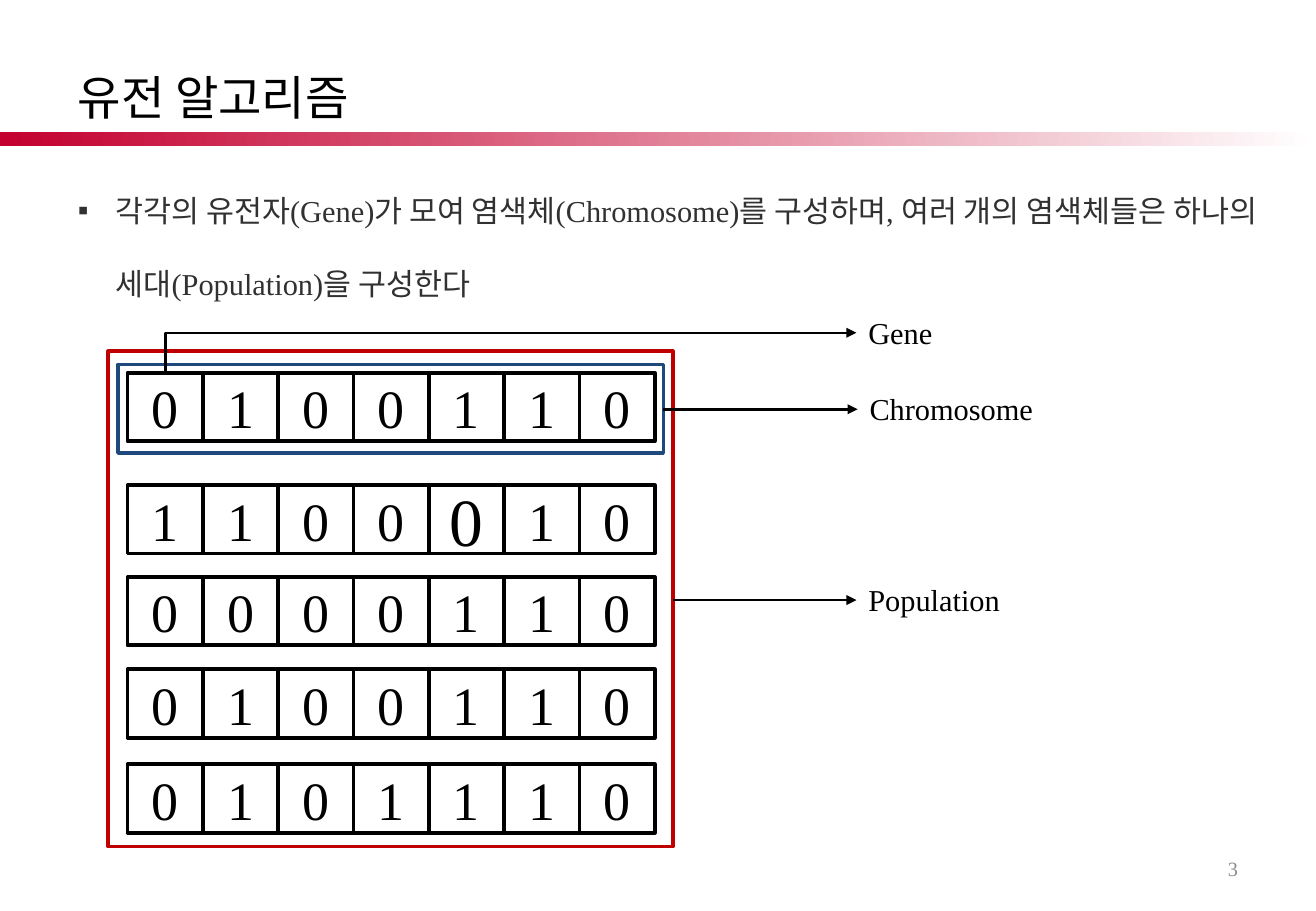
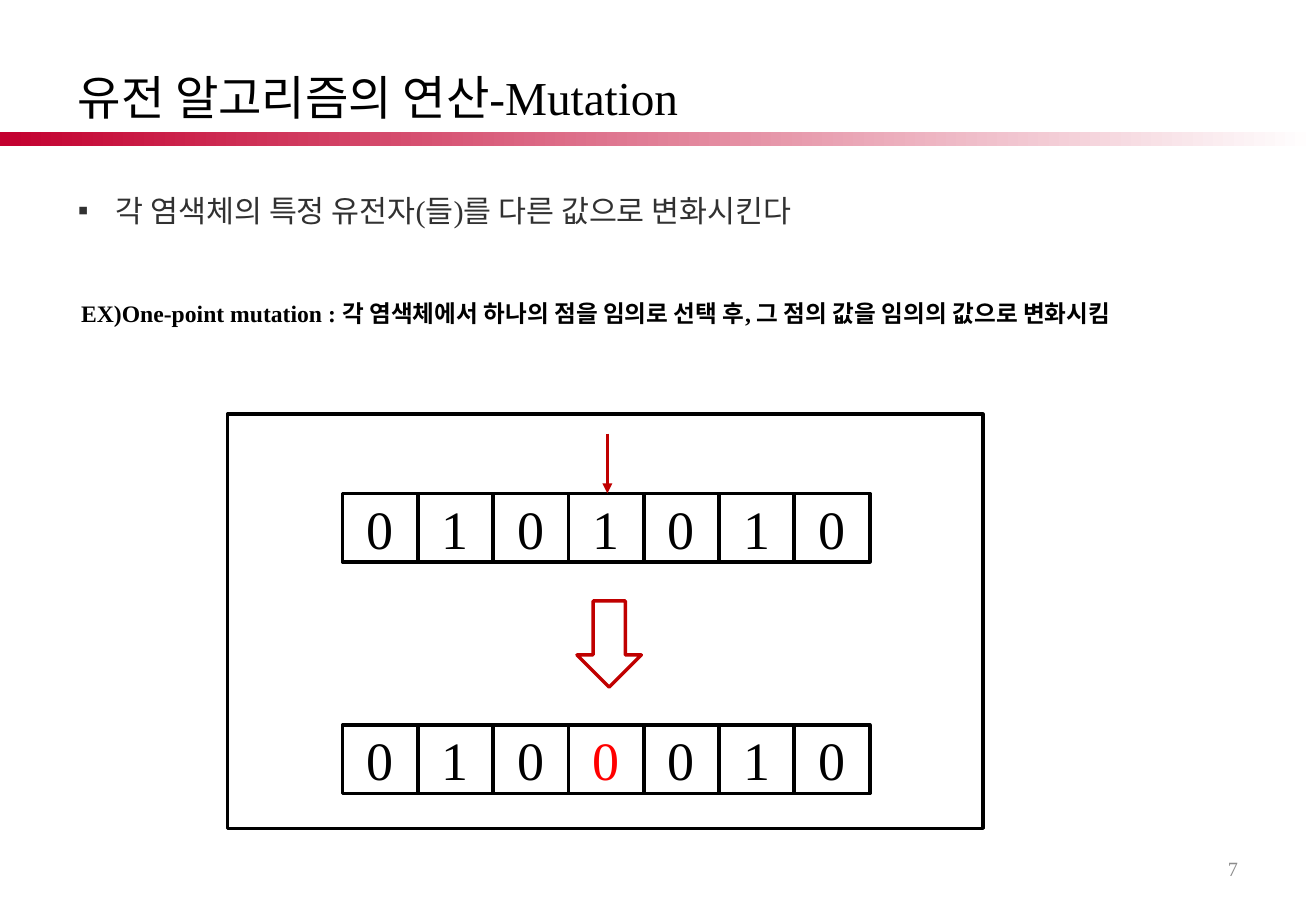
from dataclasses import dataclass

from lxml import etree
from pptx import Presentation
from pptx.dml.color import RGBColor
from pptx.enum import shapes, text
from pptx.oxml.ns import qn
from pptx.util import Pt

SHAPE, LINE = shapes.MSO_SHAPE, shapes.MSO_CONNECTOR
ALIGN, ANCHOR, FIT = text.PP_ALIGN, text.MSO_ANCHOR, text.MSO_AUTO_SIZE


@dataclass(frozen=True)
class Theme:
    font: str = "Times New Roman"
    black: str = "000000"
    body: str = "313131"
    grey: str = "8C8C8C"
    band: str = "C3002F"
    white: str = "FFFFFF"
    blue: str = "1F497D"
    dark_red: str = "C00000"
    red: str = "FF0000"
    title_size: int = 28
    body_size: int = 18
    example_size: int = 14
    page_size: int = 12
    gene_size: int = 32
    big_gene_size: int = 40


T = Theme()


def write(sp, words, size=T.body_size, color=T.black, bold=False,
          align=ALIGN.LEFT, anchor=ANCHOR.TOP, wrap=True):
    """Fill a shape with one paragraph; unwrapped shapes grow with the text."""
    tf = sp.text_frame
    tf.word_wrap = wrap
    tf.auto_size = FIT.NONE if wrap else FIT.SHAPE_TO_FIT_TEXT
    tf.vertical_anchor = anchor
    p = tf.paragraphs[0]
    p.alignment = align
    r = p.add_run()
    r.text = words
    r.font.name, r.font.size, r.font.bold = T.font, Pt(size), bold
    r.font.color.rgb = RGBColor.from_string(color)
    return p


def outline(sp, color=T.black, width=2, arrow=False):
    """Draw a shape as bare lines, or a connector with an arrowhead."""
    sp.line.color.rgb = RGBColor.from_string(color)
    sp.line.width = Pt(width)
    if arrow:
        etree.SubElement(sp.get_or_add_ln(), qn("a:tailEnd"), type="triangle")
        etree.SubElement(sp.element.spPr, qn("a:effectLst"))
    else:
        sp.fill.background()
        sp.shadow.inherit = False


prs = Presentation()
prs.slide_width, prs.slide_height = Pt(780), Pt(540)

# Shared layout: title and body places
layout = prs.slide_layouts[1]
places = [(38.9, 37.4, 702, 40.3), (38.9, 88.6, 722.9, 408.2)]
for ph, place in zip(layout.placeholders, places):
    ph.left, ph.top, ph.width, ph.height = map(Pt, place)

pages = [
    ("유전 알고리즘", "3",
     "각각의 유전자(Gene)가 모여 염색체(Chromosome)를 구성하며, "
     "여러 개의 염색체들은 하나의 세대(Population)을 구성한다"),
    ("유전 알고리즘의 연산-Mutation", "7",
     "각 염색체의 특정 유전자(들)를 다른 값으로 변화시킨다"),
]
for title, number, body in pages:
    s = prs.slides.add_slide(layout)
    write(s.shapes.title, title, T.title_size, anchor=ANCHOR.MIDDLE)
    p = write(s.placeholders[1], body, color=T.body)
    p.line_spacing, p.space_before = 2.0, Pt(0)
    pPr = p._p.get_or_add_pPr()
    pPr.set("marL", str(Pt(22.5)))
    pPr.set("indent", str(Pt(-22.5)))
    etree.SubElement(pPr, qn("a:buFont"), typeface="Arial")
    etree.SubElement(pPr, qn("a:buChar"), char="▪")
    page = s.shapes.add_textbox(Pt(558.7), Pt(500.4), Pt(182.2), Pt(28.8))
    write(page, number, T.page_size, T.grey, align=ALIGN.RIGHT, anchor=ANCHOR.MIDDLE)

population, mutation = prs.slides

# Gradient band, moved to the layout so that every slide shows it
band = population.shapes.add_shape(SHAPE.RECTANGLE, 0, Pt(78.5), prs.slide_width, Pt(8.2))
band.shadow.inherit = False
band.line.fill.background()
band.fill.gradient()
band.fill.gradient_angle = 0
for stop, color in zip(band.fill.gradient_stops, (T.band, T.white)):
    stop.color.rgb = RGBColor.from_string(color)
layout.shapes.element.append(band.element)

# Chromosomes: one group of gene cells per row
CELL_W, CELL_H = 44.64, 40.6
chromosomes = [
    (population, 75.6, 221, "0100110", {}),
    (population, 75.6, 287.6, "1100010", {4: {"size": T.big_gene_size}}),
    (population, 75.6, 342, "0000110", {}),
    (population, 75.6, 396.7, "0100110", {}),
    (population, 75.6, 453.1, "0101110", {}),
    (mutation, 203, 292.5, "0101010", {}),
    (mutation, 203, 429.8, "0100010", {3: {"color": T.red}}),
]
for s, left, top, genes, special in chromosomes:
    row = s.shapes.add_group_shape()
    for i, gene in enumerate(genes):
        cell = row.shapes.add_shape(SHAPE.RECTANGLE, Pt(left + i * CELL_W), Pt(top),
                                    Pt(CELL_W), Pt(CELL_H))
        outline(cell, width=2.25)
        style = {"size": T.gene_size, **special.get(i, {})}
        write(cell, gene, align=ALIGN.CENTER, anchor=ANCHOR.MIDDLE, **style)

# Frames and the block arrow
frames = [
    (population, SHAPE.RECTANGLE, (69.9, 216, 323.3, 52.6), T.blue),
    (population, SHAPE.RECTANGLE, (64.1, 208.1, 334.8, 293.8), T.dark_red),
    (mutation, SHAPE.RECTANGLE, (134.8, 245.5, 447.8, 245.5), T.black),
    (mutation, SHAPE.DOWN_ARROW, (342, 356.2, 38.2, 51.1), T.dark_red),
]
for s, kind, place, color in frames:
    outline(s.shapes.add_shape(kind, *map(Pt, place)), color)

# Straight arrows
arrows = [
    (population, (393.1, 242.6, 508.3, 242.6), T.black),
    (population, (398.9, 355.7, 507.6, 355.7), T.black),
    (mutation, (360, 257, 360, 292.5), T.dark_red),
]
for s, ends, color in arrows:
    outline(s.shapes.add_connector(LINE.STRAIGHT, *map(Pt, ends)), color, 1.5, arrow=True)

# Elbow from the first gene up and right to its label: a flipped, turned one-bend connector
x1, y1, x2, y2 = 98, 221, 507.6, 197.3
mid_x, mid_y, half_w, half_h = (x1 + x2) / 2, (y1 + y2) / 2, (y1 - y2) / 2, (x2 - x1) / 2
elbow = population.shapes.add_connector(
    LINE.ELBOW, Pt(mid_x + half_w), Pt(mid_y + half_h), Pt(mid_x - half_w), Pt(mid_y - half_h))
elbow.rotation = 90
elbow.element.spPr.find(qn("a:prstGeom")).set("prst", "bentConnector2")
outline(elbow, width=1.5, arrow=True)

# Labels
labels = [
    (population, "Gene", (507.6, 182.9, 52.6, 28.8), {}),
    (population, "Chromosome", (508.3, 227.9, 112.3, 28.8), {}),
    (population, "Population", (507.6, 340.9, 93.6, 28.8), {}),
    (mutation, "EX)One-point mutation : 각 염색체에서 하나의 점을 임의로 선택 후, "
     "그 점의 값을 임의의 값으로 변화시킴", (41, 173.5, 664.6, 24.5),
     {"size": T.example_size, "bold": True}),
]
for s, words, place, style in labels:
    write(s.shapes.add_textbox(*map(Pt, place)), words, wrap=False, **style)

prs.save("out.pptx")
